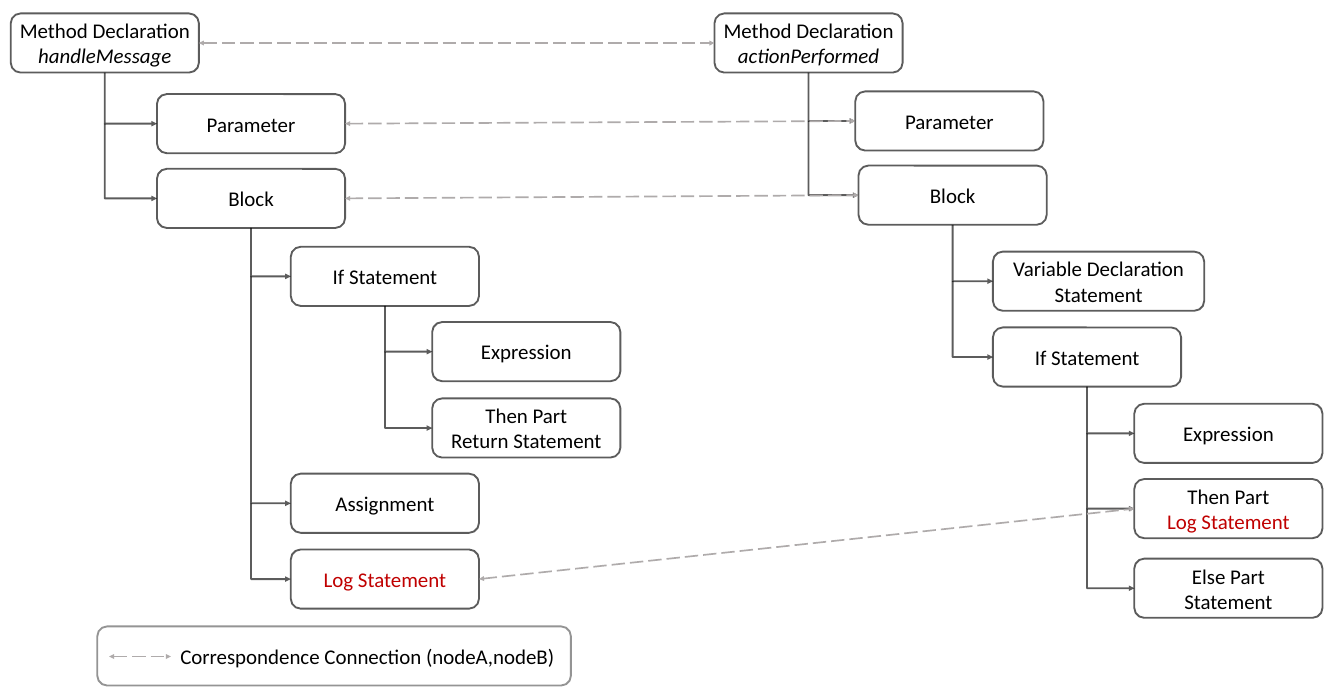
from lxml.etree import SubElement
from pptx import Presentation
from pptx.dml.color import RGBColor
from pptx.enum.dml import MSO_LINE as Dash
from pptx.enum.shapes import MSO_CONNECTOR as Connector, MSO_SHAPE as Shape
from pptx.enum.text import MSO_ANCHOR as Anchor, PP_ALIGN as Align
from pptx.oxml.ns import qn
from pptx.util import Inches, Pt

COLORS = {"black": "000000", "red": "C00000", "legend": "595959", "link": "AFABAB"}
NODE_WIDTH, NODE_HEIGHT = 3.5, 1.1
OUTLINE_OPACITY = 63
BOTTOM, LEFT, RIGHT = 2, 1, 3
ITALIC, RED = {"italic": True}, {"color": "red"}

TREES = {
    "handler": {
        "columns": [0.2, 2.92, 5.41, 8.04],
        "nodes": [
            ("method", None, 0, 0.25, [("Method Declaration", {}), ("handleMessage", ITALIC)]),
            ("parameter", "method", 1, 1.75, [("Parameter", {})]),
            ("block", "method", 1, 3.14, [("Block", {})]),
            ("if", "block", 2, 4.59, [("If Statement", {})]),
            ("expression", "if", 3, 5.99, [("Expression", {})]),
            ("then", "if", 3, 7.41, [("Then Part", {}), ("Return Statement", {})]),
            ("assignment", "block", 2, 8.81, [("Assignment", {})]),
            ("log", "block", 2, 10.22, [("Log Statement", RED)]),
        ],
    },
    "action": {
        "columns": [13.29, 15.91, 18.47, 21.1],
        "nodes": [
            ("method", None, 0, 0.25, [("Method Declaration", {}), ("actionPerformed", ITALIC)]),
            ("parameter", "method", 1, 1.7, [("Parameter", {})]),
            ("block", "method", 1, 3.08, [("Block", {})]),
            ("variable", "block", 2, 4.68, [("Variable Declaration", {}), ("Statement", {})]),
            ("if", "block", 2, 6.09, [("If Statement", {})]),
            ("expression", "if", 3, 7.51, [("Expression", {})]),
            ("log", "if", 3, 8.91, [("Then Part", {}), ("Log Statement", RED)]),
            ("else", "if", 3, 10.39, [("Else Part", {}), ("Statement", {})]),
        ],
    },
}
NODE_WIDTHS = {("action", "variable"): 3.93}
NODE_SHIFTS = {("action", "block"): 0.06}
CORRESPONDENCES = ["method", "parameter", "block", "log"]
LEGEND_BOX = (1.81, 11.65, 8.81, NODE_HEIGHT)
LEGEND_TEXT = "Correspondence Connection (nodeA,nodeB)"
LEGEND_LINK = (2.03, 12.21, 3.18, 12.21)

presentation = Presentation()
presentation.slide_width, presentation.slide_height = Inches(25), Inches(13)
slide = presentation.slides.add_slide(presentation.slide_layouts[6])


def set_line(line, color, width, opacity=None):
    line.color.rgb = RGBColor.from_string(COLORS[color])
    line.width = Pt(width)
    if opacity:
        tint = line.fill._xPr.find(".//" + qn("a:srgbClr"))
        SubElement(tint, qn("a:alpha"), val=str(opacity * 1000))


def add_text(paragraph, text, color="black", italic=False, align=Align.CENTER):
    paragraph.alignment = align
    run = paragraph.add_run()
    run.text = text
    run.font.name, run.font.size, run.font.italic = "Calibri", Pt(28), italic
    run.font.color.rgb = RGBColor.from_string(COLORS[color])


def add_box(bounds, lines, outline="black", indent=0.05):
    box = slide.shapes.add_shape(Shape.ROUNDED_RECTANGLE, *map(Inches, bounds))
    box.shadow.inherit = False
    box.fill.background()
    set_line(box.line, outline, 2.5, OUTLINE_OPACITY)
    frame = box.text_frame
    frame.word_wrap, frame.vertical_anchor = True, Anchor.MIDDLE
    frame.margin_left, frame.margin_right = Inches(indent), Inches(0.05)
    for index, (text, style) in enumerate(lines):
        paragraph = frame.add_paragraph() if index else frame.paragraphs[0]
        add_text(paragraph, text, **style)
    return box


def finish_connector(connector, ends):
    properties = connector.element.spPr
    outline = properties.find(qn("a:ln"))
    for end in ends:
        SubElement(outline, qn("a:" + end), type="triangle")
    SubElement(properties, qn("a:effectLst"))


def add_branch(start_x, start_y, end_x, end_y):
    middle_x, middle_y = (start_x + end_x) // 2, (start_y + end_y) // 2
    half_x, half_y = (end_x - start_x) // 2, (end_y - start_y) // 2
    branch = slide.shapes.add_connector(
        Connector.ELBOW, middle_x - half_y, middle_y - half_x, middle_x + half_y, middle_y + half_x)
    properties = branch.element.spPr
    properties.find(qn("a:prstGeom")).set("prst", "bentConnector2")
    turn = properties.find(qn("a:xfrm"))
    turn.set("rot", str(270 * 60000))
    turn.set("flipH", "1")
    set_line(branch.line, "black", 2.5, OUTLINE_OPACITY)
    finish_connector(branch, ["tailEnd"])


def add_link(points, source=None, target=None):
    link = slide.shapes.add_connector(Connector.STRAIGHT, *map(Inches, points))
    if source is not None:
        link.begin_connect(source, RIGHT)
        link.end_connect(target, LEFT)
    set_line(link.line, "link", 2.25)
    link.line.dash_style = Dash.LONG_DASH
    finish_connector(link, ["headEnd", "tailEnd"])


boxes = {}
for tree, layout in TREES.items():
    trunk_ends = {}
    for name, parent, column, top, lines in layout["nodes"]:
        key = (tree, name)
        left = layout["columns"][column] + NODE_SHIFTS.get(key, 0)
        width = NODE_WIDTHS.get(key, NODE_WIDTH)
        box = boxes[key] = add_box((left, top, width, NODE_HEIGHT), lines)
        if parent:
            above = boxes[tree, parent]
            start_y = trunk_ends.get(parent, above.top + above.height)
            trunk_ends[parent] = box.top + box.height // 2
            add_branch(above.left + above.width // 2, start_y, box.left, trunk_ends[parent])

add_box(LEGEND_BOX, [(LEGEND_TEXT, {"align": Align.LEFT})], outline="legend", indent=1.49)
add_link(LEGEND_LINK)
for name in CORRESPONDENCES:
    add_link((0, 0, 1, 1), boxes["handler", name], boxes["action", name])

presentation.save("out.pptx")
